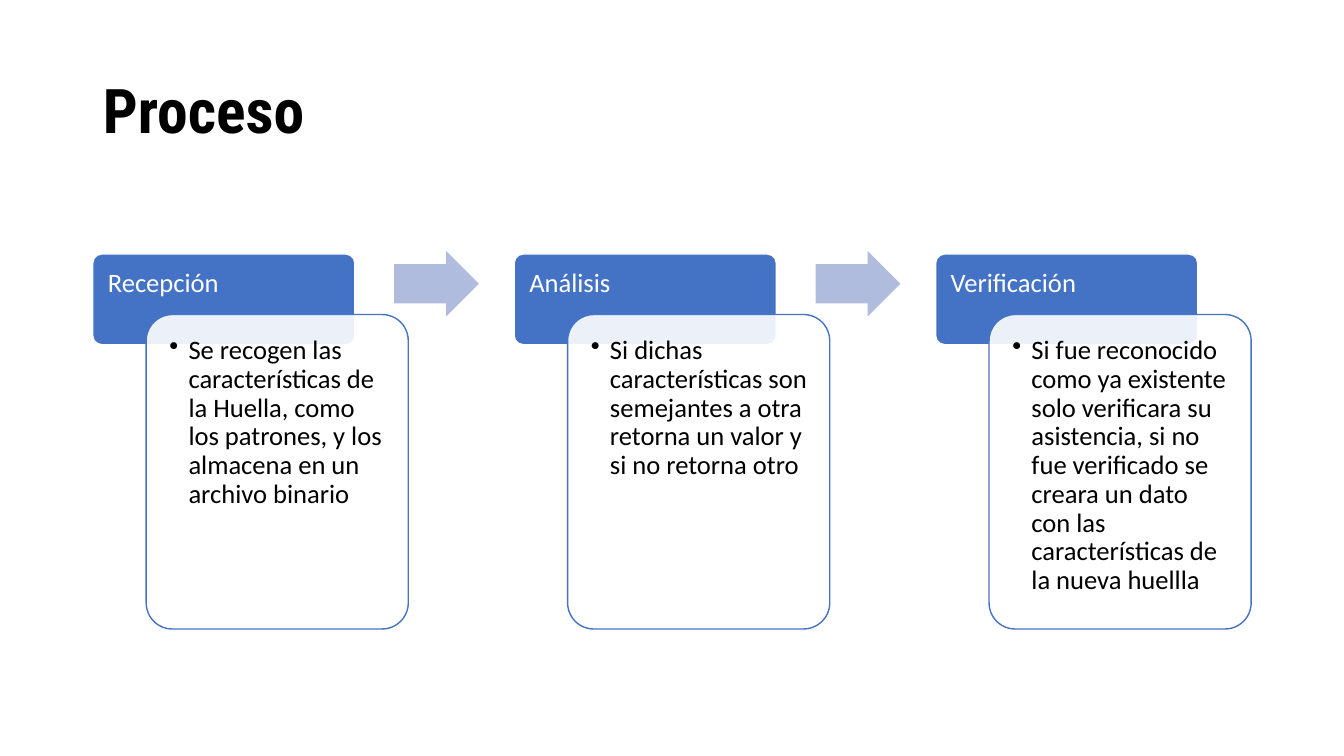
from dataclasses import dataclass

from lxml.etree import SubElement
from pptx import Presentation
from pptx.dml.color import RGBColor
from pptx.enum.shapes import MSO_SHAPE as Shape
from pptx.enum.text import MSO_ANCHOR as Anchor, MSO_AUTO_SIZE as AutoSize, PP_ALIGN as Align
from pptx.oxml.ns import qn
from pptx.util import Pt

PX = 9144


@dataclass(frozen=True)
class Theme:
    title_font: str = "Roboto Condensed"
    body_font: str = "Calibri"
    title_size: int = 44
    body_size: int = 19
    black: str = "000000"
    white: str = "FFFFFF"
    blue: str = "4472C4"
    pale_blue: str = "B0BCDE"


class SlideBuilder:
    def __init__(self, slide, theme):
        self.slide = slide
        self.theme = theme

    def box(self, left, top, width, height):
        return [length * PX for length in (left, top, width, height)]

    def format_text(self, paragraph, font_name, size, color, bold=False):
        paragraph.alignment = Align.LEFT
        paragraph.line_spacing = 0.9
        for run in paragraph.runs:
            run.font.name = font_name
            run.font.size = Pt(size)
            run.font.bold = bold
            run.font.color.rgb = RGBColor.from_string(color)

    def title(self, text, *bounds):
        title = self.slide.shapes.title
        title.left, title.top, title.width, title.height = self.box(*bounds)
        frame = title.text_frame
        frame.text = text
        frame.auto_size = AutoSize.NONE
        frame.vertical_anchor = Anchor.MIDDLE
        theme = self.theme
        self.format_text(frame.paragraphs[0], theme.title_font, theme.title_size, theme.black, True)

    def shape(self, kind, bounds, adjustments, fill, line=None, opacity=100):
        shape = self.slide.shapes.add_shape(kind, *self.box(*bounds))
        shape.shadow.inherit = False
        for index, value in enumerate(adjustments):
            shape.adjustments[index] = value
        shape.fill.solid()
        shape.fill.fore_color.rgb = RGBColor.from_string(fill)
        if opacity < 100:
            color = shape.fill._xPr.find(qn("a:solidFill"))[0]
            SubElement(color, qn("a:alpha"), val=str(opacity * 1000))
        if line:
            shape.line.color.rgb = RGBColor.from_string(line)
            shape.line.width = Pt(1)
        else:
            shape.line.fill.background()

    def text(self, text, bounds, color, bottom_inset=15, bullet=False):
        frame = self.slide.shapes.add_textbox(*self.box(*bounds)).text_frame
        frame.word_wrap = True
        frame.margin_left = frame.margin_top = frame.margin_right = 15 * PX
        frame.margin_bottom = bottom_inset * PX
        frame.text = text
        paragraph = frame.paragraphs[0]
        self.format_text(paragraph, self.theme.body_font, self.theme.body_size, color)
        if bullet:
            paragraph.level = 1
            properties = paragraph._p.get_or_add_pPr()
            properties.set("marL", str(19 * PX))
            properties.set("indent", str(-19 * PX))
            SubElement(properties, qn("a:buChar"), char="•")

    def step(self, left, heading, description):
        theme = self.theme
        self.shape(Shape.ROUNDED_RECTANGLE, (left, 252, 260, 90), [0.1], theme.blue, theme.white)
        self.text(heading, (left, 252, 260, 60), theme.white, bottom_inset=8)
        self.shape(Shape.ROUNDED_RECTANGLE, (left + 53, 312, 260, 312), [0.1],
                   theme.white, theme.blue, opacity=90)
        self.text(description, (left + 61, 319, 245, 297), theme.black, bullet=True)

    def arrow(self, left):
        self.shape(Shape.RIGHT_ARROW, (left, 249, 84, 65), [0.6, 0.5], self.theme.pale_blue)


STEPS = [
    ("Recepción", "Se recogen las características de la Huella, como los patrones, "
                  "y los almacena en un archivo binario"),
    ("Análisis", "Si dichas características son semejantes a otra retorna un valor "
                 "y si no retorna otro"),
    ("Verificación", "Si fue reconocido como ya existente solo verificara su asistencia, "
                     "si no fue verificado se creara un dato con las características "
                     "de la nueva huellla"),
]
FIRST_LEFT = 92
STEP_PITCH = 418
ARROW_OFFSET = 299


def main():
    presentation = Presentation()
    presentation.slide_width = 1333 * PX
    presentation.slide_height = 750 * PX
    slide = presentation.slides.add_slide(presentation.slide_layouts[5])
    builder = SlideBuilder(slide, Theme())
    builder.title("Proceso", 92, 40, 1150, 145)
    for index, (heading, description) in enumerate(STEPS):
        left = FIRST_LEFT + index * STEP_PITCH
        builder.step(left, heading, description)
        if index < len(STEPS) - 1:
            builder.arrow(left + ARROW_OFFSET)
    presentation.save("out.pptx")


if __name__ == "__main__":
    main()
